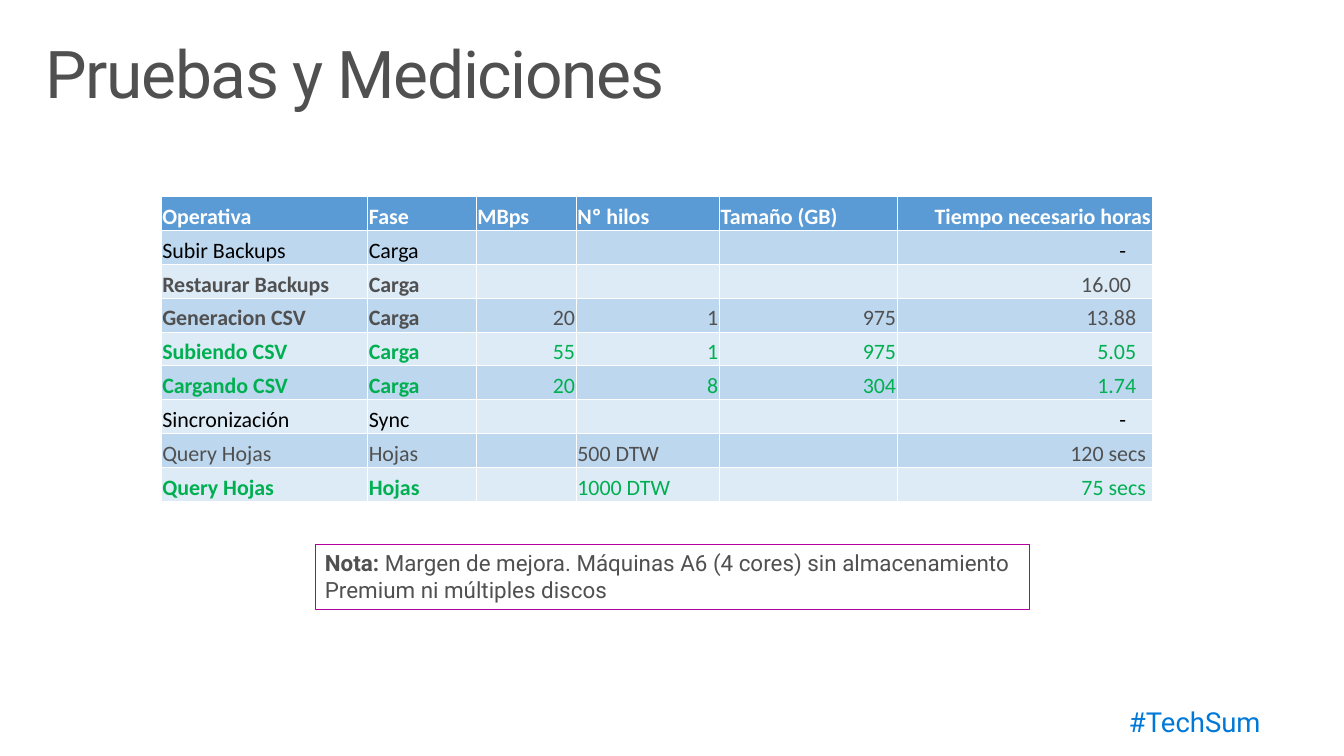
from dataclasses import dataclass

from lxml.etree import SubElement
from pptx import Presentation
from pptx.dml.color import RGBColor
from pptx.enum.shapes import MSO_SHAPE
from pptx.enum.text import MSO_ANCHOR, MSO_AUTO_SIZE, PP_ALIGN
from pptx.oxml.ns import qn
from pptx.util import Cm, Pt


@dataclass(frozen=True)
class Theme:
    white: str = "FFFFFF"
    black: str = "000000"
    gray: str = "505050"
    green: str = "00B050"
    blue: str = "0078D7"
    magenta: str = "B4009E"
    header_fill: str = "5B9BD5"
    band_fills: tuple = ("DDEBF7", "BDD7EE")
    text_font: str = "Roboto"
    table_font: str = "Calibri"
    title_size: float = 48
    hashtag_size: float = 20
    note_size: float = 16.3
    table_size: float = 16


theme = Theme()


def set_font(font, name, size, color, bold=False):
    font.name = name
    font.size = Pt(size)
    font.color.rgb = RGBColor.from_string(color)
    font.bold = bold


def add_borders(cell, color, width):
    properties = cell._tc.get_or_add_tcPr()
    for side in ("lnL", "lnR", "lnT", "lnB"):
        line = SubElement(properties, qn(f"a:{side}"), w=str(Pt(width)))
        fill = SubElement(line, qn("a:solidFill"))
        SubElement(fill, qn("a:srgbClr"), val=color)


presentation = Presentation()
presentation.slide_width = Cm(34.54)
presentation.slide_height = Cm(19.43)
slide = presentation.slides.add_slide(presentation.slide_layouts[5])

hashtag = slide.shapes.add_textbox(Cm(22.78), Cm(17.83), Cm(10.13), Cm(1.6))
frame = hashtag.text_frame
frame.word_wrap = True
frame.margin_left = frame.margin_right = Cm(0.51)
frame.margin_top = frame.margin_bottom = Cm(0.41)
paragraph = frame.paragraphs[0]
paragraph.text = "#TechSum"
paragraph.alignment = PP_ALIGN.RIGHT
paragraph.line_spacing = 0.9
paragraph.space_after = Pt(6)
set_font(paragraph.font, theme.text_font, theme.hashtag_size, theme.blue)

title = slide.shapes.title
title.left, title.top, title.width, title.height = Cm(0.76), Cm(0.81), Cm(33.02), Cm(2.54)
frame = title.text_frame
frame.auto_size = MSO_AUTO_SIZE.NONE
frame.vertical_anchor = MSO_ANCHOR.TOP
frame.margin_left = frame.margin_right = Cm(0.41)
frame.margin_top = frame.margin_bottom = Cm(0.25)
paragraph = frame.paragraphs[0]
paragraph.alignment = PP_ALIGN.LEFT
paragraph.line_spacing = 0.9
title_run = paragraph.add_run()
title_run.text = "Pruebas y Mediciones"
title_run._r.get_or_add_rPr().set("spc", "-100")
set_font(paragraph.font, theme.text_font, theme.title_size, theme.gray)

column_widths = (5.31, 2.79, 2.57, 3.68, 4.57, 6.55)
row_height = 0.87
measurements = [
    (theme.white, True, 0.03, ("Operativa", "Fase", "MBps", "Nº hilos", "Tamaño (GB)", "Tiempo necesario horas")),
    (theme.black, False, 0.67, ("Subir Backups", "Carga", "", "", "", "-")),
    (theme.gray, True, 0.54, ("Restaurar Backups", "Carga", "", "", "", "16.00")),
    (theme.gray, True, 0.41, ("Generacion CSV", "Carga", "20", "1", "975", "13.88")),
    (theme.green, True, 0.41, ("Subiendo CSV", "Carga", "55", "1", "975", "5.05")),
    (theme.green, True, 0.41, ("Cargando CSV", "Carga", "20", "8", "304", "1.74")),
    (theme.black, False, 0.67, ("Sincronización", "Sync", "", "", "", "-")),
    (theme.gray, False, 0.16, ("Query Hojas", "Hojas", "", "500 DTW", "", "120 secs")),
    (theme.green, True, 0.16, ("Query Hojas", "Hojas", "", "1000 DTW", "", "75 secs")),
]
last_column = len(column_widths) - 1
table = slide.shapes.add_table(
    len(measurements), len(column_widths), Cm(4.14), Cm(5.05),
    Cm(sum(column_widths)), Cm(row_height * len(measurements)),
).table
for column, width in zip(table.columns, column_widths):
    column.width = Cm(width)

for row_index, (color, bold, time_margin, values) in enumerate(measurements):
    table.rows[row_index].height = Cm(row_height)
    row_fill = theme.band_fills[row_index % 2] if row_index else theme.header_fill
    for column_index, value in enumerate(values):
        cell = table.cell(row_index, column_index)
        is_time = column_index == last_column
        cell.margin_left = cell.margin_top = Cm(0.03)
        cell.margin_right = Cm(time_margin if is_time else 0.03)
        cell.margin_bottom = Cm(0)
        cell.vertical_anchor = MSO_ANCHOR.BOTTOM
        add_borders(cell, theme.white, 0.5)
        cell.fill.solid()
        cell.fill.fore_color.rgb = RGBColor.from_string(row_fill)
        paragraph = cell.text_frame.paragraphs[0]
        paragraph.text = value
        paragraph.alignment = PP_ALIGN.RIGHT if is_time or value.isdigit() else PP_ALIGN.LEFT
        cell_bold = bold and (row_index == 0 or column_index < 2)
        set_font(paragraph.font, theme.table_font, theme.table_size, color, cell_bold)

note = slide.shapes.add_shape(MSO_SHAPE.RECTANGLE, Cm(8.1), Cm(13.99), Cm(18.36), Cm(1.68))
note.shadow.inherit = False
note.fill.solid()
note.fill.fore_color.rgb = RGBColor.from_string(theme.white)
note.line.color.rgb = RGBColor.from_string(theme.magenta)
note.line.width = Pt(0.85)
frame = note.text_frame
frame.word_wrap = True
frame.auto_size = MSO_AUTO_SIZE.SHAPE_TO_FIT_TEXT
frame.vertical_anchor = MSO_ANCHOR.TOP
paragraph = frame.paragraphs[0]
paragraph.alignment = PP_ALIGN.LEFT
for text, bold in (
    ("Nota:", True),
    (" Margen de mejora. Máquinas A6 (4 cores) sin almacenamiento Premium ni múltiples discos", False),
):
    run = paragraph.add_run()
    run.text = text
    set_font(run.font, theme.text_font, theme.note_size, theme.gray, bold)

presentation.save("out.pptx")
